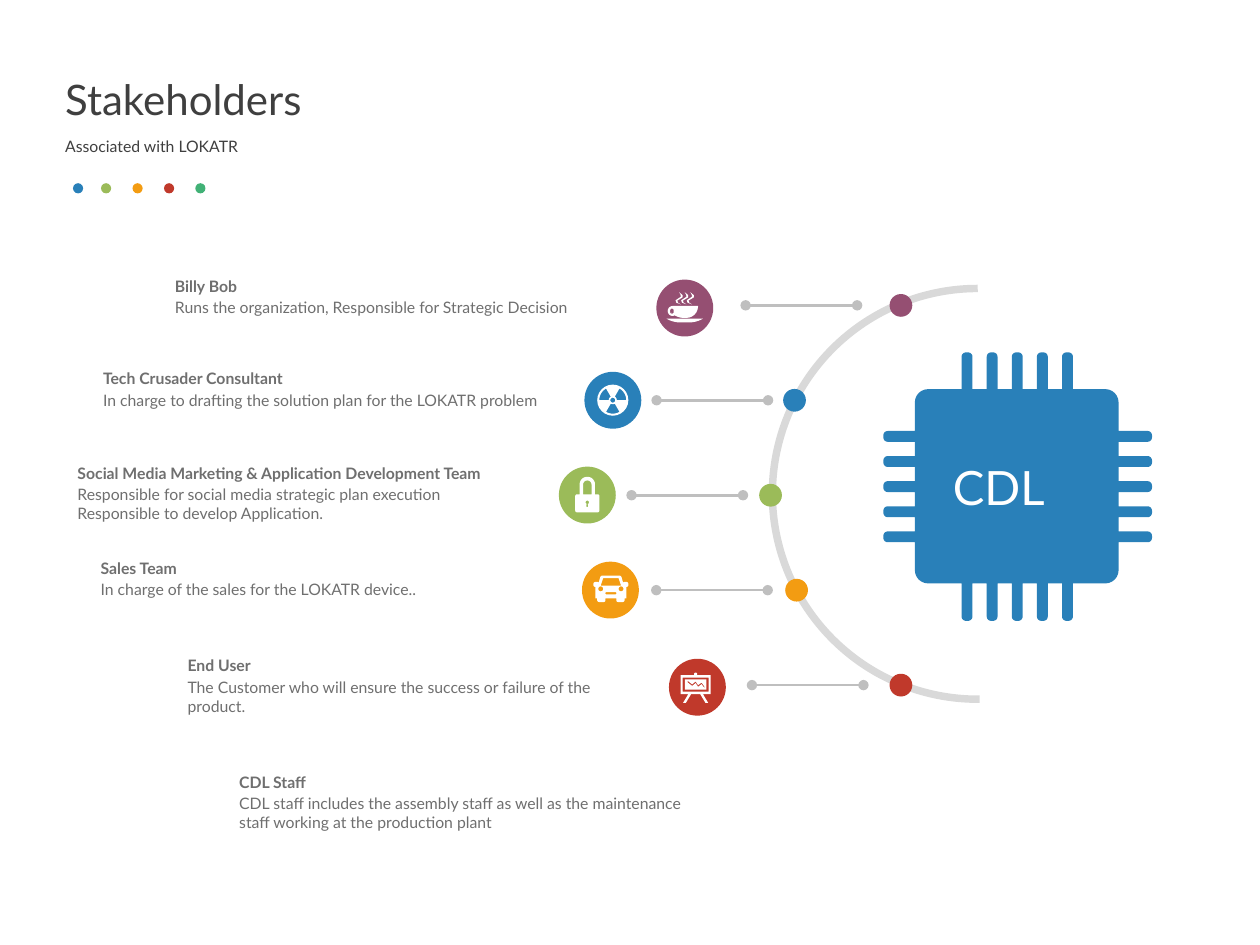
from dataclasses import dataclass
from math import cos, hypot, radians, sin

from lxml.etree import SubElement
from pptx import Presentation
from pptx.dml.color import RGBColor
from pptx.enum.shapes import MSO_CONNECTOR as Link, MSO_SHAPE as Preset
from pptx.enum.text import MSO_ANCHOR as Anchor, MSO_AUTO_SIZE as Fit, PP_ALIGN as Align
from pptx.oxml.ns import qn
from pptx.util import Pt


@dataclass(frozen=True)
class Theme:
    font: str = "Lato"
    heading: str = "3F3F3F"
    body: str = "6F6F6F"
    white: str = "FFFFFF"
    arc: str = "D9D9D9"
    rule: str = "BFBFBF"
    plum: str = "954F72"
    blue: str = "2980B9"
    lime: str = "9BBB59"
    amber: str = "F39C12"
    red: str = "C0392B"
    green: str = "41B176"
    title_size: float = 24
    chip_size: float = 27
    text_size: float = 9


def rounded(corners):
    """Turn (x, y, radius) corners into a dense closed outline."""
    outline = []
    for i, (x, y, radius) in enumerate(corners):
        if not radius:
            outline.append((x, y))
            continue
        arms = []
        for nx, ny, _ in (corners[i - 1], corners[(i + 1) % len(corners)]):
            reach = hypot(nx - x, ny - y)
            arms.append(((nx - x) / reach * radius, (ny - y) / reach * radius))
        (ax, ay), (bx, by) = arms
        for step in range(7):
            t = step / 6
            a = (1 - t) ** 3 + 3 * t * (1 - t) ** 2 * 0.45
            b = t ** 3 + 3 * t ** 2 * (1 - t) * 0.45
            outline.append((x + a * ax + b * bx, y + a * ay + b * by))
    return outline


def box(x1, y1, x2, y2, radius=0):
    return rounded([(x1, y1, radius), (x2, y1, radius), (x2, y2, radius), (x1, y2, radius)])


def disc(x, y, radius):
    return box(x - radius, y - radius, x + radius, y + radius, radius)


def mirrored(axis, half):
    """Close a right half, given as offsets from a vertical axis, with its reflection."""
    return rounded([(axis + x, y, r) for x, y, r in half]
                   + [(axis - x, y, r) for x, y, r in reversed(half)])


def cup_icon():
    steam = [(0, -9), (2, -7.3), (2, -6), (-1, -4.2), (-0.6, -3), (1, -2),
             (-1.6, -3), (-2, -4.4), (1, -6.4), (0.8, -7.6)]
    bowl = [(-9.7, -1.1, 2.8), (7.6, -1.1, 0), (7.6, 5.7, 6.5), (-5, 5.7, 4),
            (-6, 4.6, 0), (-9.7, 4.6, 2.8)]
    saucer = [(-10.4, 6.2, 0), (10.4, 6.2, 0), (6, 8.3, 3), (-6, 8.3, 3)]
    return [rounded(bowl), box(-8.3, 0.4, -6.3, 3.4, 1), rounded(saucer)] + [
        [(x + shift, y) for x, y in steam] for shift in (-3.2, 0, 3.2)]


def hazard_icon():
    def blade(middle):
        rim = [(7.7, middle - 30 + 6 * k) for k in range(11)]
        hub = [(2.3, middle + 30 - 12 * k) for k in range(6)]
        return [(r * cos(radians(a)), r * sin(radians(a))) for r, a in rim + hub]
    return [disc(0, 0, 8.9), disc(0, 0, 1.4)] + [blade(a) for a in (90, 210, 330)]


def lock_icon():
    case = [(4.4, -10.4, 4.3), (4.4, -0.4, 0), (6.9, -0.4, 1), (6.9, 9.9, 1)]
    opening = [(2.4, -8.3, 2.3), (2.4, -0.4, 0)]
    return [mirrored(0, case), mirrored(0, opening),
            disc(0, 4.2, 1), box(-0.5, 5.2, 0.5, 6.8)]


def car_icon():
    shell = [(5.8, -8.3, 1), (7, -4.2, 0), (7.5, -4.7, 0), (10, -4.7, 1.2), (10, -1.8, 1.2),
             (8.8, -1.8, 0), (8.8, 4.7, 0), (7.8, 4.7, 0), (7.8, 6.8, 1), (3.1, 6.8, 1),
             (3.1, 4.7, 0)]
    return [mirrored(0.3, shell), mirrored(0.3, [(4.4, -6.8, 0), (5.8, -2.6, 0)]),
            disc(-5.5, -0.7, 1.4), disc(6.1, -0.7, 1.4), box(-2.9, 1.1, 3.5, 2.5, 0.7)]


def easel_icon():
    stand = [(0.9, -8.3, 0.8), (0.9, -6.8, 0), (8.6, -6.8, 0), (8.6, 4, 0), (4.2, 4, 0),
             (7.2, 9, 0), (5.6, 9, 0), (2.6, 4, 0)]
    trend = [(-5.5, -3.6), (-3, -1.6), (-1, -3.2), (0.4, -1.1), (2.4, -2.6), (4, -0.4)]
    return [mirrored(-1, stand), box(-8.4, -5.4, 6.4, 2.5), box(-7.2, -4.5, 5.2, 1.4),
            trend + [(x, y + 0.9) for x, y in reversed(trend)]]


def chip_outline():
    left, top, right, bottom, corner = 522.8, 222.4, 639.2, 333.4, 7.5

    def edges(start):
        return [(start + 14.35 * k, start + 14.35 * k + 6.2) for k in range(5)]

    def back(spans):
        return [(b, a) for a, b in reversed(spans)]

    def pins(spans, base, tip):
        return [point for a, b in spans
                for point in ((a, base, 0), (a, tip, 2.5), (b, tip, 2.5), (b, base, 0))]

    def sideways(points):
        return [(y, x, r) for x, y, r in points]

    across, down = edges(549.5), edges(246.3)
    return rounded([(left, top, corner)] + pins(across, top, 201.4)
                   + [(right, top, corner)] + sideways(pins(down, right, 658.3))
                   + [(right, bottom, corner)] + pins(back(across), bottom, 354.8)
                   + [(left, bottom, corner)] + sideways(pins(back(down), left, 504.8)))


class Sheet:
    def __init__(self, page, theme):
        self.page, self.theme = page, theme

    def put_text(self, frame, text, size=9, color="000000", bold=False, before=0, spacing=None):
        for i, line in enumerate(text.split("\n")):
            para = frame.paragraphs[0] if i == 0 else frame.add_paragraph()
            para.alignment, para.space_before = Align.LEFT, Pt(before)
            if spacing:
                para.line_spacing = spacing
            span = para.add_run()
            span.text = line
            span.font.name, span.font.size, span.font.bold = self.theme.font, Pt(size), bold
            span.font.color.rgb = RGBColor.from_string(color)

    def text(self, x, y, width, height, text, anchor=Anchor.TOP, fit=Fit.NONE, **style):
        frame = self.page.shapes.add_textbox(Pt(x), Pt(y), Pt(width), Pt(height)).text_frame
        frame.word_wrap, frame.auto_size, frame.vertical_anchor = True, fit, anchor
        self.put_text(frame, text, **style)

    def paint(self, shape, color):
        shape.shadow.inherit = False
        shape.fill.solid()
        shape.fill.fore_color.rgb = RGBColor.from_string(color)
        shape.line.fill.background()
        return shape

    def dot(self, x, y, size, color):
        """Draw a filled circle about its centre."""
        self.paint(self.page.shapes.add_shape(
            Preset.OVAL, Pt(x - size / 2), Pt(y - size / 2), Pt(size), Pt(size)), color)

    def outline(self, contours, color, x=0, y=0):
        """Draw one filled shape; inner contours become holes."""
        rings = [[(Pt(x + px), Pt(y + py)) for px, py in contour] for contour in contours]
        builder = self.page.shapes.build_freeform(*rings[0][0], scale=1.0)
        builder.add_line_segments(rings[0][1:])
        for ring in rings[1:]:
            builder.move_to(*ring[0])
            builder.add_line_segments(ring[1:])
        return self.paint(builder.convert_to_shape(), color)

    def arc(self, x, y, size, start, end):
        shape = self.page.shapes.add_shape(Preset.ARC, Pt(x), Pt(y), Pt(size), Pt(size))
        shape.shadow.inherit = False
        shape.adjustments[0], shape.adjustments[1] = start * 0.6, end * 0.6
        shape.fill.background()
        shape.line.color.rgb = RGBColor.from_string(self.theme.arc)
        shape.line.width = Pt(4.25)

    def link(self, x1, x2, y):
        line = self.page.shapes.add_connector(Link.STRAIGHT, Pt(x1), Pt(y), Pt(x2), Pt(y))
        line.line.color.rgb = RGBColor.from_string(self.theme.rule)
        line.line.width = Pt(1.5)
        properties = line._element.spPr
        for end in ("a:headEnd", "a:tailEnd"):
            SubElement(properties.find(qn("a:ln")), qn(end), type="oval")
        SubElement(properties, qn("a:effectLst"))

    def role(self, x, y, name, duty):
        style = dict(size=self.theme.text_size, color=self.theme.body, fit=Fit.SHAPE_TO_FIT_TEXT)
        self.text(x, y + 12.2, 273, 18, duty, **style)
        self.text(x, y, 273, 18, name, bold=True, **style)


def main():
    theme = Theme()
    deck = Presentation()
    deck.slide_width, deck.slide_height = Pt(720), Pt(540)
    sheet = Sheet(deck.slides.add_slide(deck.slide_layouts[6]), theme)

    accents = (theme.blue, theme.lime, theme.amber, theme.red, theme.green)
    for x, color in zip((44.6, 60.6, 78.6, 96.6, 114.5), accents):
        sheet.dot(x, 107.6, 5.8, color)
    sheet.text(30.2, 36.7, 659, 38.2, "Stakeholders", anchor=Anchor.BOTTOM,
               size=theme.title_size, color=theme.heading, spacing=0.9)
    sheet.text(30.2, 75.6, 659, 28, "Associated with LOKATR",
               size=theme.text_size, color=theme.heading, before=10, spacing=0.9)

    sheet.arc(441.4, 164.9, 234.7, 89.45, 270)
    chip = sheet.outline([chip_outline()], theme.blue)
    chip.text_frame.margin_left = Pt(39.7)
    chip.text_frame.vertical_anchor = Anchor.MIDDLE
    sheet.put_text(chip.text_frame, "CDL", size=theme.chip_size, color=theme.white)

    # text left, badge centre y, link right end, node centre x, colour, icon, name, duty
    roles = [
        (92.9, 176, 489.8, 514.8, theme.plum, cup_icon, "Billy Bob",
         "Runs the organization, Responsible for Strategic Decision"),
        (51.8, 228.7, 438.9, 454, theme.blue, hazard_icon, "Tech Crusader Consultant",
         "In charge to drafting the solution plan for the LOKATR problem"),
        (37.2, 282.9, 424.6, 440.3, theme.lime, lock_icon,
         "Social Media Marketing & Application Development Team",
         "Responsible for social media strategic plan execution\n"
         "Responsible to develop Application."),
        (50.4, 337.2, 438.7, 455.2, theme.amber, car_icon, "Sales Team",
         "In charge of the sales for the LOKATR device.."),
        (100.1, 392.7, 493.4, 514.8, theme.red, easel_icon, "End User",
         "The Customer who will ensure the success or failure of the product."),
    ]
    for i, (left, middle, link_right, node, color, icon, name, duty) in enumerate(roles):
        level = 174.5 + 54.25 * i
        badge = left + 298.4
        sheet.role(left, middle - 21.4, name, duty)
        sheet.dot(badge, middle, 32.5, color)
        sheet.outline(icon(), theme.white, badge, middle)
        sheet.link(link_right, link_right - 63.7, level)
        sheet.dot(node, level, 13, color)
    sheet.role(129.6, 437.8, "CDL Staff", "CDL staff includes the assembly staff as well as "
               "the maintenance staff working at the production plant")

    deck.save("out.pptx")


if __name__ == "__main__":
    main()
